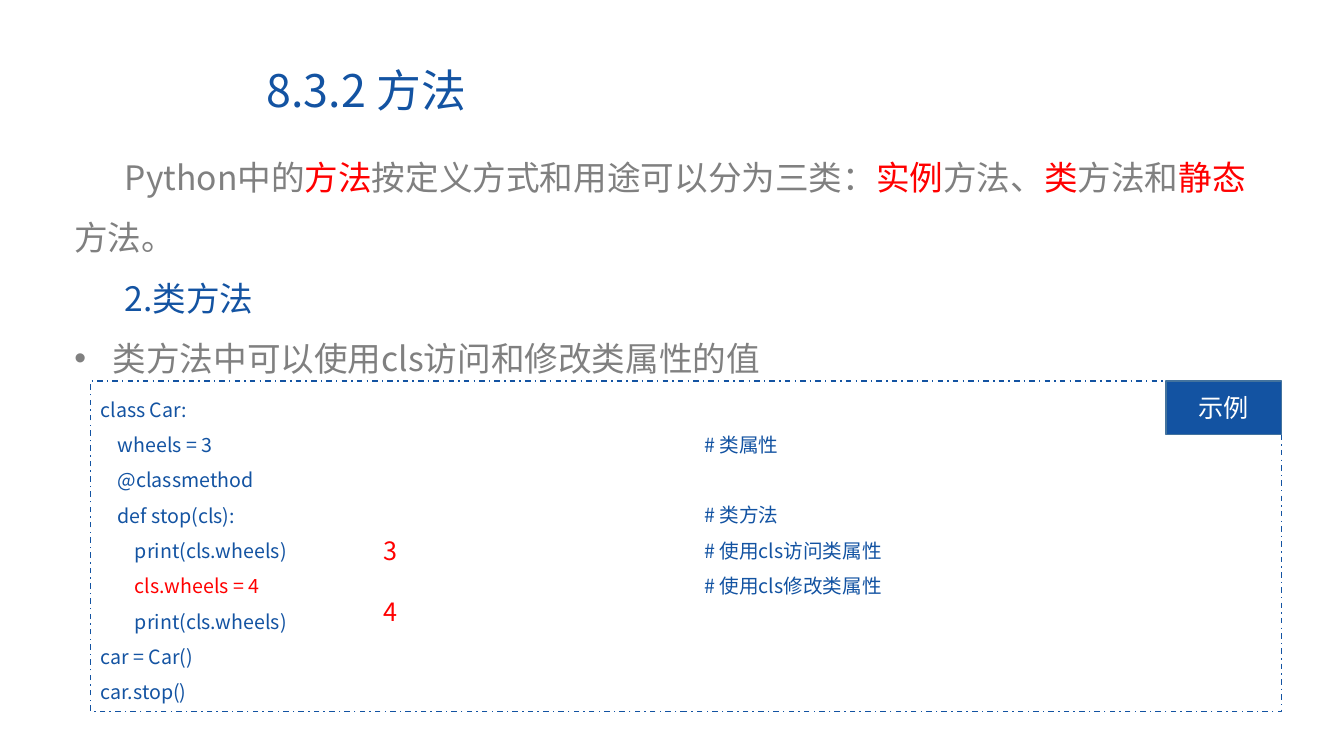
from pptx import Presentation
from pptx.dml.color import RGBColor
from pptx.enum.dml import MSO_LINE
from pptx.enum.shapes import MSO_SHAPE
from pptx.enum.text import MSO_ANCHOR, PP_ALIGN
from pptx.oxml.ns import qn
from pptx.util import Inches, Pt
from lxml import etree

BLUE = RGBColor(0x13, 0x53, 0xA2)
EDGE = RGBColor(0x43, 0x73, 0x9E)
GRAY = RGBColor(0x80, 0x80, 0x80)
RED = RGBColor(0xFF, 0x00, 0x00)
WHITE = RGBColor(0xFF, 0xFF, 0xFF)
FONT = "Noto Sans CJK SC"
WIDTH, HEIGHT = Inches(13.33), Inches(7.5)

# Positions and sizes are percentages of the slide.
BOX_LEFT, BOX_TOP, BOX_W, BOX_H = 6.75, 50.4, 88.6, 43.7
TAG_W, TAG_H = 8.6, 7.1
CODE_ROW = 4.66
COMMENT_LEFT, COMMENT_W = 51.65, 30

CODE_STEP = 0.17  # inches per indent level

INTRO = [("Python中的", GRAY), ("方法", RED), ("按定义方式和用途可以分为三类：", GRAY),
         ("实例", RED), ("方法、", GRAY), ("类", RED), ("方法和", GRAY),
         ("静态", RED), ("方法。", GRAY)]

# indent level, statement, comment, statement colour
CODE = [
    (0, "class Car:", "", BLUE),
    (1, "wheels = 3", "# 类属性", BLUE),
    (1, "@classmethod", "", BLUE),
    (1, "def stop(cls):", "# 类方法", BLUE),
    (2, "print(cls.wheels)", "# 使用cls访问类属性", BLUE),
    (2, "cls.wheels = 4", "# 使用cls修改类属性", RED),
    (2, "print(cls.wheels)", "", BLUE),
    (0, "car = Car()", "", BLUE),
    (0, "car.stop()", "", BLUE),
]


def place(x, y, w, h):
    """Turn percentages of the slide into lengths."""
    return [int(share * side / 100)
            for share, side in zip((x, y, w, h), (WIDTH, HEIGHT) * 2)]


def add_text(s, *box):
    tf = s.shapes.add_textbox(*place(*box)).text_frame
    tf.word_wrap = True
    return tf


def add_rect(s, *box):
    sp = s.shapes.add_shape(MSO_SHAPE.RECTANGLE, *place(*box))
    sp.shadow.inherit = False
    sp.line.width = Pt(1)
    sp.text_frame.word_wrap = True
    return sp


def add_line(tf, runs, size, spacing=None, margin=0, indent=0):
    """Fill the first paragraph if it is empty, else append one."""
    p = tf.paragraphs[-1]
    if p.runs:
        p = tf.add_paragraph()
    p.line_spacing = spacing
    p.alignment = PP_ALIGN.LEFT
    pPr = p._p.get_or_add_pPr()
    pPr.set("marL", str(Inches(margin)))
    pPr.set("indent", str(Inches(indent)))
    for text, color in runs:
        r = p.add_run()
        r.text = text
        r.font.size = Pt(size)
        r.font.name = FONT
        r.font.color.rgb = color
        etree.SubElement(r._r.get_or_add_rPr(), qn("a:ea"), typeface=FONT)
    return p


def add_bullet(p):
    pPr = p._p.get_or_add_pPr()
    etree.SubElement(pPr, qn("a:buFont"), typeface="Arial")
    etree.SubElement(pPr, qn("a:buChar"), char="•")


def add_code(s):
    """Draw the framed statements, with each comment in a column on its row."""
    sp = add_rect(s, BOX_LEFT, BOX_TOP, BOX_W, BOX_H)
    sp.fill.background()
    sp.line.color.rgb = BLUE
    sp.line.dash_style = MSO_LINE.DASH_DOT
    tf = sp.text_frame
    tf.vertical_anchor = MSO_ANCHOR.TOP
    for row, (level, statement, comment, color) in enumerate(CODE):
        add_line(tf, [(statement, color)], 14, 1.5, indent=level * CODE_STEP)
        if comment:
            note = add_text(s, COMMENT_LEFT, BOX_TOP + row * CODE_ROW,
                            COMMENT_W, CODE_ROW)
            add_line(note, [(comment, BLUE)], 14, 1.5)


def add_tag(s, text):
    sp = add_rect(s, BOX_LEFT + BOX_W - TAG_W, BOX_TOP, TAG_W, TAG_H)
    sp.fill.solid()
    sp.fill.fore_color.rgb = BLUE
    sp.line.color.rgb = EDGE
    sp.text_frame.vertical_anchor = MSO_ANCHOR.MIDDLE
    add_line(sp.text_frame, [(text, WHITE)], 18).alignment = PP_ALIGN.CENTER


def main():
    prs = Presentation()
    prs.slide_width, prs.slide_height = WIDTH, HEIGHT
    s = prs.slides.add_slide(prs.slide_layouts[6])

    title = add_text(s, 19.1, 8.4, 68.6, 7.9)
    title.vertical_anchor = MSO_ANCHOR.MIDDLE
    add_line(title, [("8.3.2 方法", BLUE)], 32, 0.9)

    body = add_text(s, 4.8, 17.4, 90.5, 33.6)
    add_line(body, INTRO, 24, 1.5, indent=0.5)
    add_line(body, [("2.类方法", BLUE)], 24, 1.5, indent=0.5)
    add_bullet(add_line(body, [("类方法中可以使用cls访问和修改类属性的值", GRAY)],
                        24, 1.5, margin=0.38, indent=-0.38))

    add_code(s)
    add_tag(s, "示例")

    output = add_text(s, 27.8, 70.1, 6, 13.5)
    add_line(output, [("3", RED)], 18)
    add_line(output, [("4", RED)], 18).space_before = Pt(22)

    prs.save("out.pptx")


if __name__ == "__main__":
    main()
